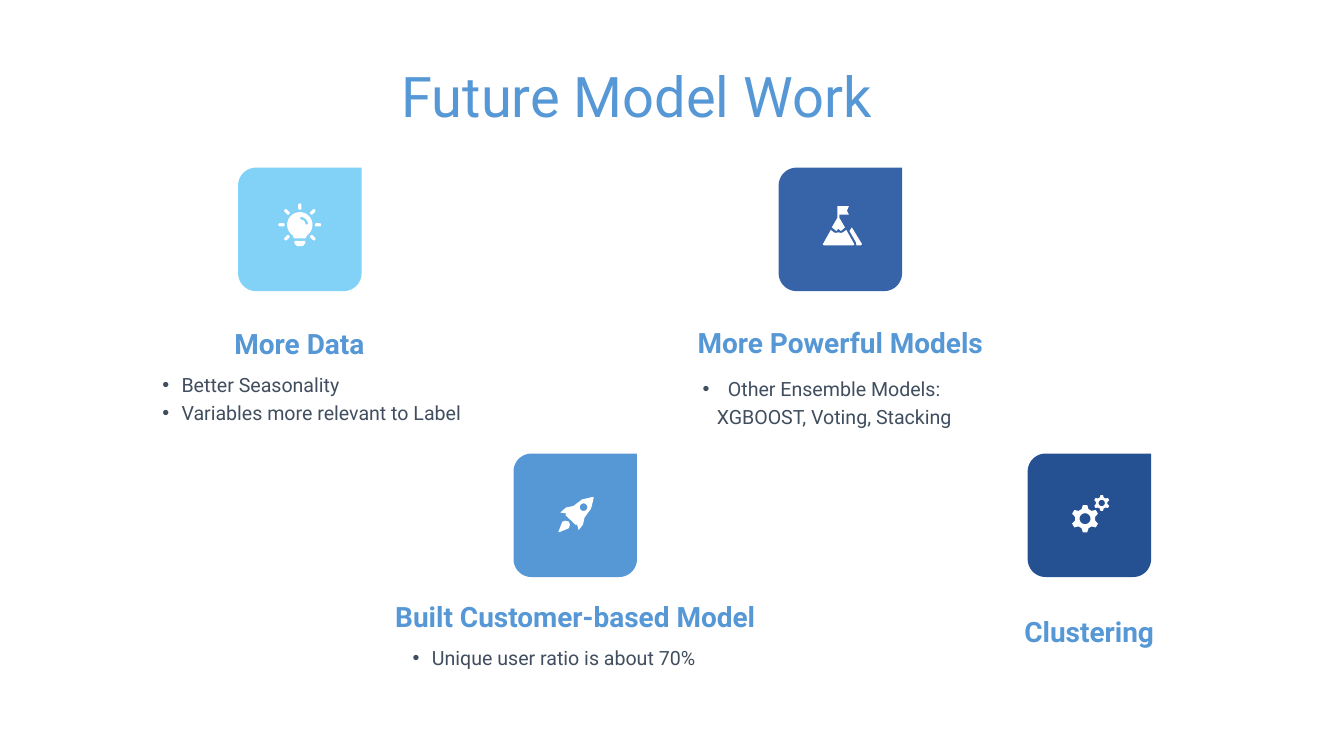
from math import cos, sin, radians
from lxml.etree import SubElement
from pptx import Presentation
from pptx.dml.color import RGBColor
from pptx.enum.text import PP_ALIGN as Align
from pptx.oxml.ns import qn
from pptx.util import Cm, Pt

SKY = RGBColor(0x82, 0xD1, 0xF6)
BLUE = RGBColor(0x56, 0x97, 0xD6)
ROYAL = RGBColor(0x37, 0x64, 0xA9)
NAVY = RGBColor(0x25, 0x51, 0x93)
WHITE = RGBColor(0xFF, 0xFF, 0xFF)
SLATE = RGBColor(0x40, 0x4E, 0x5F)

deck = Presentation()
deck.slide_width, deck.slide_height = Cm(67.73), Cm(38.1)
slide = deck.slides.add_slide(deck.slide_layouts[6])


def arc(x, y, r, start=0, end=360):
    """Points on an arc in degrees, clockwise from the right."""
    steps = 24
    angles = [radians(start + (end - start) * i / steps) for i in range(steps + 1)]
    return [(x + r * cos(a), y + r * sin(a)) for a in angles]


def draw(loops, x, y, color):
    """Fill closed loops, in cm around (x, y), as one shape; inner loops are holes."""
    loops = [[((x + dx) * 1000, (y + dy) * 1000) for dx, dy in loop] for loop in loops]
    pen = slide.shapes.build_freeform(*loops[0][0], scale=Cm(1) / 1000)
    for i, loop in enumerate(loops):
        if i:
            pen.move_to(*loop[0])
        pen.add_line_segments(loop[1:], close=True)
    shape = pen.convert_to_shape()
    shape.shadow.inherit = False
    shape.fill.solid()
    shape.fill.fore_color.rgb = color
    shape.line.fill.background()


# Tile: three round corners and a square one at the top right
half, curve = 3.11, 0.9
core = half - curve
tile = [(half, -half)]
for x, y, start in ((core, core, 0), (-core, core, 90), (-core, -core, 180)):
    tile += arc(x, y, curve, start, start + 90)

# Bulb with a highlight, a base and seven rays
mid = -0.23
bulb = [
    arc(0, mid, 0.64, 125, 415) + [(0.29, 0.46), (-0.29, 0.46)],
    arc(0.03, -0.25, 0.38, 270, 360) + arc(0.03, -0.25, 0.25, 360, 270),
    [(-0.28, 0.58), (0.28, 0.58), (0.28, 0.7), (0.15, 0.84), (-0.15, 0.84), (-0.28, 0.7)],
]
for turn in (0, 45, 135, 180, 225, 270, 315):
    dx, dy = cos(radians(turn)), sin(radians(turn))
    bulb.append(arc(dx, mid + dy, 0.08, turn - 90, turn + 90)
                + arc(0.84 * dx, mid + 0.84 * dy, 0.08, turn + 90, turn + 270))

rocket = [
    [(0.9, -0.93), (0.93, -0.88), (0.8, -0.34), (0.47, 0.11), (0.39, 0.47),
     (0.17, 0.75), (0.09, 0.44), (0.04, 0.5), (-0.5, -0.01), (-0.44, -0.09),
     (-0.75, -0.14), (-0.47, -0.39), (-0.09, -0.47), (0.34, -0.8)],
    arc(0.42, -0.41, 0.19),
    [(-0.5, 0.27), (-0.65, 0.32), (-0.85, 0.83), (-0.8, 0.85), (-0.32, 0.65),
     (-0.27, 0.47), (-0.32, 0.32)],
]

peak = [
    [(-0.15, -1.17), (0.43, -1.17), (0.33, -0.94), (0.43, -0.74), (-0.05, -0.74),
     (-0.05, -0.58), (0.23, -0.1), (0.03, 0.08), (-0.1, -0.03), (-0.2, 0.08),
     (-0.43, -0.1), (-0.15, -0.58)],
    [(-0.48, 0.03), (-0.33, 0.15), (-0.23, 0.18), (-0.1, 0.15), (0.03, 0.18),
     (0.13, 0.15), (0.3, 0.03), (0.71, 0.76), (0.64, 0.81), (-0.81, 0.81), (-0.89, 0.76)],
    [(0.46, 0.08), (0.58, -0.1), (1.09, 0.74), (1.02, 0.81), (0.81, 0.81), (0.79, 0.66)],
]

# Gears: six teeth each, given by angle and share of the radius
gears = []
for x, y, r in ((-0.22, 0.17, 0.71), (0.62, -0.62, 0.41)):
    rim = []
    for tooth in range(30, 390, 60):
        for turn, share in ((-20, 0.72), (-9, 0.98), (9, 0.98), (20, 0.72)):
            a = radians(tooth + turn)
            rim.append((x + r * share * cos(a), y + r * share * sin(a)))
    gears += [rim, arc(x, y, r * 0.39)]

high, low = 11.56, 25.97
for x, y, color, icon in (
    (15.11, high, SKY, bulb),
    (28.99, low, BLUE, rocket),
    (42.35, high, ROYAL, peak),
    (54.9, low, NAVY, gears),
):
    draw([tile], x, y, color)
    draw(icon, x, y, WHITE)

# Text: font, alignment, line spacing and bullet indent in cm
title = ({"size": Pt(80), "bold": False}, BLUE, Align.CENTER, 1.0, 0)
head = ({"size": Pt(40), "bold": True}, BLUE, Align.CENTER, 1.2, 0)
item = ({"size": Pt(28), "bold": False}, SLATE, Align.LEFT, 1.2, 0.97)
mid_item = ({"size": Pt(28), "bold": False}, SLATE, Align.CENTER, 1.2, 1.27)

for left, top, width, height, style, lines in (
    (7.87, 2.97, 48.44, 3.71, title, ["Future Model Work"]),
    (9.83, 15.98, 10.52, 2.16, head, ["More Data"]),
    (8.03, 18.42, 16.31, 5.89, item,
     ["Better Seasonality", "Variables more relevant to Label"]),
    (18.21, 29.72, 21.56, 2.16, head, ["Built Customer-based Model"]),
    (20.65, 32.18, 16.76, 4.47, item, ["Unique user ratio is about 70%"]),
    (34.19, 15.93, 16.31, 2.16, head, ["More Powerful Models"]),
    (34.01, 18.59, 14.78, 3.02, mid_item,
     ["Other Ensemble Models: XGBOOST, Voting, Stacking"]),
    (49.63, 30.48, 10.52, 2.16, head, ["Clustering"]),
):
    font, color, align, space, indent = style
    frame = slide.shapes.add_textbox(Cm(left), Cm(top), Cm(width), Cm(height)).text_frame
    frame.word_wrap = True
    for side in ("left", "top", "right", "bottom"):
        setattr(frame, f"margin_{side}", Cm(0.15))
    for i, line in enumerate(lines):
        para = frame.add_paragraph() if i else frame.paragraphs[0]
        para.alignment, para.line_spacing = align, space
        run = para.add_run()
        run.text = line
        run.font.name = "Roboto"
        run.font.color.rgb = color
        for key, value in font.items():
            setattr(run.font, key, value)
        if indent:
            props = para._p.get_or_add_pPr()
            props.set("marL", str(Cm(indent)))
            props.set("indent", str(-Cm(indent)))
            SubElement(props, qn("a:buFont"), typeface="Arial")
            SubElement(props, qn("a:buChar"), char="•")

deck.save("out.pptx")
